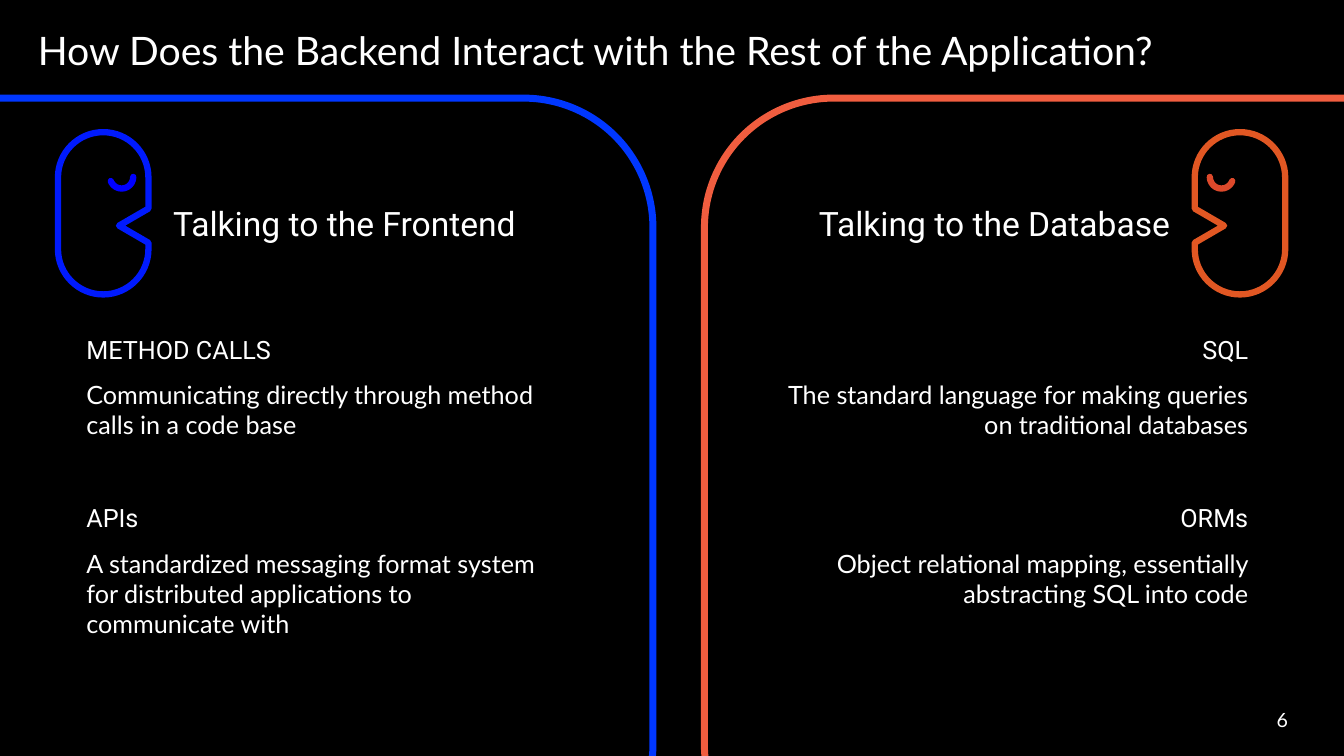
"""Build the slide on how a backend talks to the frontend and the database."""
from lxml.etree import SubElement
from pptx import Presentation
from pptx.dml.color import RGBColor
from pptx.enum.shapes import MSO_SHAPE
from pptx.enum.text import MSO_ANCHOR, MSO_AUTO_SIZE, PP_ALIGN
from pptx.oxml import parse_xml
from pptx.oxml.ns import nsdecls, qn
from pptx.util import Pt

COLORS = {
    "background": "000000",
    "text": "FFFFFF",
    "frontend_frame": "0037FF",
    "frontend_face": "001AFD",
    "frontend_eye": "0000FF",
    "database_frame": "F05D3F",
    "database_face": "E15723",
    "database_eye": "DD492B",
}
SLIDE_WIDTH, SLIDE_HEIGHT = 960, 540
FRAME_TOP, FRAME_SIZE = 70.1, 554.4
TOPIC_WIDTH = 354.2
TERM_TOPS, MEANING_TOPS = (235, 355.4), (267.1, 388.1)
FACE_MIRROR = 959.4
HEAD_X, HEAD_RADIUS, CURVE_PULL = 73.7, 32.3, 14.5
CROWN_Y, CHIN_Y = 126.7, 178
MOUTH = [(106, 149), (85, 161.2), (106, 173.4)]
EYE_LEFT, EYE_TOP, EYE_SIZE = 78.6, 118.1, 16.6
EYE_SWEEP = 159
ARC_UNITS_PER_DEGREE = 0.6

SIDES = [
    {
        "name": "frontend", "mirrored": False, "align": PP_ALIGN.LEFT,
        "frame_left": -88, "heading": "Talking to the Frontend",
        "heading_left": 116.6, "heading_align": PP_ALIGN.LEFT, "topic_left": 54.6,
        "topics": [
            ("METHOD CALLS", "Communicating directly through method calls in a code base", 51),
            ("APIs", "A standardized messaging format system for distributed "
                     "applications to communicate with", 72.6),
        ],
    },
    {
        "name": "database", "mirrored": True, "align": PP_ALIGN.RIGHT,
        "frame_left": 503.2, "heading": "Talking to the Database",
        "heading_left": 567.5, "heading_align": PP_ALIGN.CENTER, "topic_left": 544.5,
        "topics": [
            ("SQL", "The standard language for making queries on traditional databases", 51),
            ("ORMs", "Object relational mapping, essentially abstracting SQL into code", 51),
        ],
    },
]


def rgb(name):
    """Return the named colour."""
    return RGBColor.from_string(COLORS[name])


def write(holder, words, size, font, align=PP_ALIGN.LEFT):
    """Put formatted words into a placeholder or text box."""
    frame = holder.text_frame
    layout = {
        "word_wrap": True,
        "vertical_anchor": MSO_ANCHOR.TOP,
        "auto_size": MSO_AUTO_SIZE.SHAPE_TO_FIT_TEXT,
    }
    for key, value in layout.items():
        setattr(frame, key, value)
    paragraph = frame.paragraphs[0]
    paragraph.alignment = align
    run = paragraph.add_run()
    run.text = words
    for key, value in {"size": Pt(size), "name": font}.items():
        setattr(run.font, key, value)
    run.font.color.rgb = rgb("text")


def add_text(slide, box, words, size, font, align=PP_ALIGN.LEFT):
    """Add a text box at left, top, width, height."""
    write(slide.shapes.add_textbox(*map(Pt, box)), words, size, font, align)


def outline(shape, color, width):
    """Leave only a coloured line with round ends and joins."""
    shape.shadow.inherit = False
    shape.fill.background()
    shape.line.color.rgb = rgb(color)
    shape.line.width = Pt(width)
    stroke = shape.line._get_or_add_ln()
    stroke.set("cap", "rnd")
    SubElement(stroke, qn("a:round"))


def bend(shape, starts):
    """Turn each run of three line segments into one Bezier curve."""
    segments = shape._element.findall(".//" + qn("a:lnTo"))
    for start in starts:
        curve = parse_xml(f"<a:cubicBezTo {nsdecls('a')}/>")
        segments[start].addprevious(curve)
        for segment in segments[start:start + 3]:
            curve.append(segment[0])
            segment.getparent().remove(segment)


def head_points():
    """Return the head's corners and curve handles, clockwise from the top."""
    left, right = HEAD_X - HEAD_RADIUS, HEAD_X + HEAD_RADIUS
    top, bottom = CROWN_Y - HEAD_RADIUS, CHIN_Y + HEAD_RADIUS
    pull = HEAD_RADIUS - CURVE_PULL
    return [
        (HEAD_X, top), (HEAD_X + pull, top), (right, CROWN_Y - pull), (right, CROWN_Y),
        *MOUTH, (right, CHIN_Y),
        (right, CHIN_Y + pull), (HEAD_X + pull, bottom), (HEAD_X, bottom),
        (HEAD_X - pull, bottom), (left, CHIN_Y + pull), (left, CHIN_Y),
        (left, CROWN_Y),
        (left, CROWN_Y - pull), (HEAD_X - pull, top), (HEAD_X, top),
    ]


def add_face(slide, side):
    """Draw a talking head, facing the middle of the slide."""
    points = head_points()
    eye_left, eye_start = EYE_LEFT, 0
    if side["mirrored"]:
        points = [(FACE_MIRROR - x, y) for x, y in points]
        eye_left = FACE_MIRROR - EYE_LEFT - EYE_SIZE
        eye_start = 180 - EYE_SWEEP
    points = [(Pt(x), Pt(y)) for x, y in points]
    builder = slide.shapes.build_freeform(*points[0])
    builder.add_line_segments(points[1:], close=True)
    head = builder.convert_to_shape()
    bend(head, (0, 7, 10, 14))
    outline(head, side["name"] + "_face", 4.5)

    eye = slide.shapes.add_shape(
        MSO_SHAPE.ARC, Pt(eye_left), Pt(EYE_TOP), Pt(EYE_SIZE), Pt(EYE_SIZE))
    for index, angle in enumerate((eye_start, eye_start + EYE_SWEEP)):
        eye.adjustments[index] = angle * ARC_UNITS_PER_DEGREE
    outline(eye, side["name"] + "_eye", 4.5)


def add_frame(slide, side):
    """Draw the rounded frame that runs off the slide edges."""
    frame = slide.shapes.add_shape(
        MSO_SHAPE.ROUNDED_RECTANGLE, Pt(side["frame_left"]), Pt(FRAME_TOP),
        Pt(FRAME_SIZE), Pt(FRAME_SIZE))
    outline(frame, side["name"] + "_frame", 5)


def add_side(slide, side):
    """Add one half of the slide with its heading and topics."""
    add_face(slide, side)
    add_frame(slide, side)
    add_text(slide, (side["heading_left"], 141.4, 285.8, 36), side["heading"],
             24, "Roboto", side["heading_align"])
    left, align = side["topic_left"], side["align"]
    for term_top, meaning_top, topic in zip(TERM_TOPS, MEANING_TOPS, side["topics"]):
        term, meaning, height = topic
        add_text(slide, (left, term_top, TOPIC_WIDTH, 28.8), term, 18, "Roboto", align)
        add_text(slide, (left, meaning_top, TOPIC_WIDTH, height), meaning, 18, "Lato", align)


def add_title(slide, words):
    """Place and fill the title placeholder."""
    title = slide.shapes.title
    place = {"left": 19.9, "top": 15.1, "width": 874, "height": 41}
    for key, value in place.items():
        setattr(title, key, Pt(value))
    write(title, words, 28, "Lato")


def main():
    """Build and save the slide."""
    deck = Presentation()
    deck.slide_width, deck.slide_height = Pt(SLIDE_WIDTH), Pt(SLIDE_HEIGHT)
    slide = deck.slides.add_slide(deck.slide_layouts[5])
    slide.background.fill.solid()
    slide.background.fill.fore_color.rgb = rgb("background")
    add_title(slide, "How Does the Backend Interact with the Rest of the Application?")
    for side in SIDES:
        add_side(slide, side)
    add_text(slide, (898.6, 501.8, 34.6, 24.5), "6", 14, "Lato", PP_ALIGN.CENTER)
    deck.save("out.pptx")


main()
